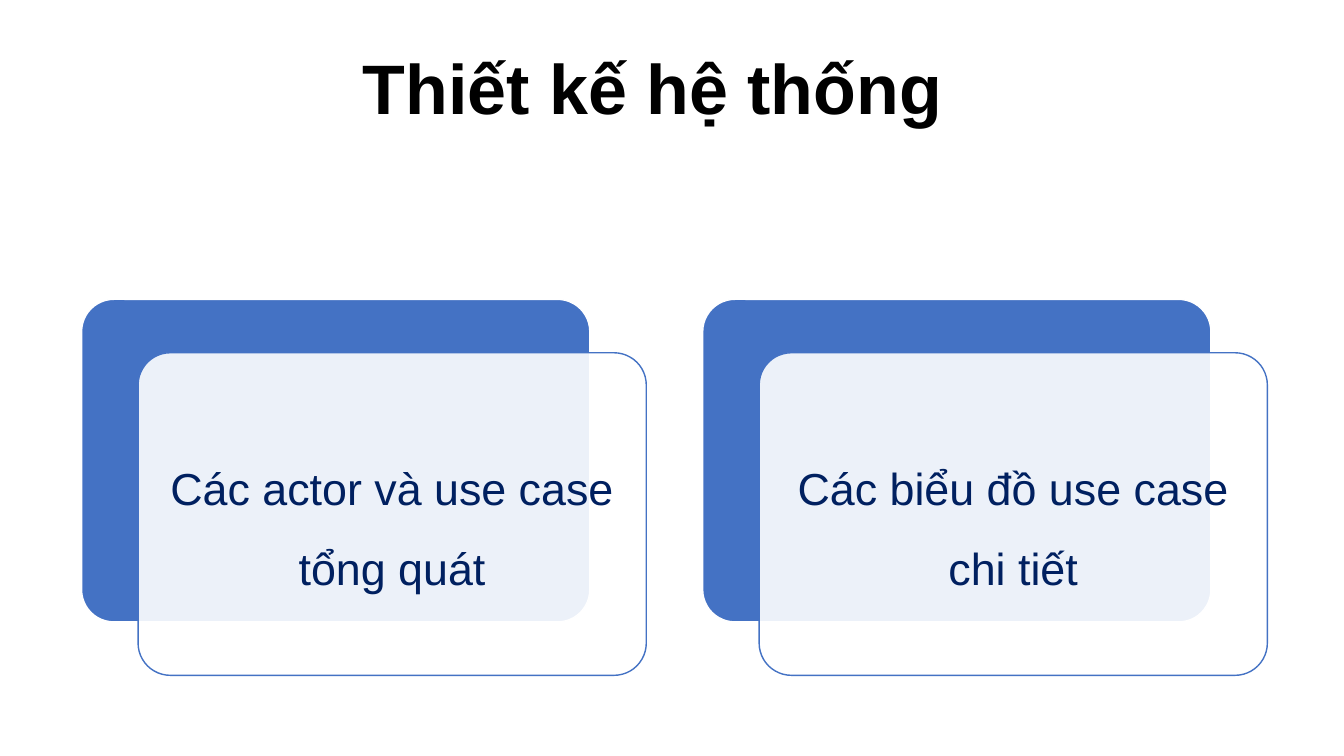
from lxml import etree
from pptx import Presentation
from pptx import util as u
from pptx.dml.color import RGBColor
from pptx.enum import shapes, text
from pptx.oxml import ns

BLACK = RGBColor(0x00, 0x00, 0x00)
WHITE = RGBColor(0xFF, 0xFF, 0xFF)
BLUE = RGBColor(0x44, 0x72, 0xC4)
NAVY = RGBColor(0x00, 0x20, 0x60)

EMU_PER_PX = 9144  # 100 px to the inch
TOPICS = ["Các actor và use case tổng quát", "Các biểu đồ use case chi tiết"]


def px(length):
    return u.Emu(length * EMU_PER_PX)


def set_all(target, values):
    for name, value in values.items():
        setattr(target, name, value)


class SlideBuilder:
    font_name = "Arial"
    card_size = (504, 320)

    def __init__(self, deck):
        self.page = deck.slides.add_slide(deck.slide_layouts[5])

    def caption(self, box, words, frame_format, paragraph_format, size, color, bold=False):
        frame = box.text_frame
        frame.text = words
        set_all(frame, {"word_wrap": True, "auto_size": text.MSO_AUTO_SIZE.NONE})
        set_all(frame, frame_format)
        para = frame.paragraphs[0]
        set_all(para, {"alignment": text.PP_ALIGN.CENTER, **paragraph_format})
        span = para.runs[0]
        set_all(span.font, {"name": self.font_name, "size": u.Pt(size), "bold": bold})
        span.font.color.rgb = color

    def title(self, words, left, top, width, height):
        box = self.page.shapes.title
        set_all(box, {"left": px(left), "top": px(top),
                      "width": px(width), "height": px(height)})
        self.caption(box, words,
                     {"vertical_anchor": text.MSO_ANCHOR.TOP, "margin_top": px(14)},
                     {"line_spacing": 0.9}, 50, BLACK, bold=True)

    def card(self, left, top, fill, line, opacity=100):
        box = self.page.shapes.add_shape(
            shapes.MSO_SHAPE.ROUNDED_RECTANGLE, px(left), px(top), *map(px, self.card_size))
        box.adjustments[0] = 0.1
        box.shadow.inherit = False
        box.fill.solid()
        box.fill.fore_color.rgb = fill
        box.line.color.rgb = line
        box.line.width = u.Pt(1)
        if opacity < 100:
            color = box.element.spPr.find(ns.qn("a:solidFill"))[0]
            etree.SubElement(color, ns.qn("a:alpha"), val=str(opacity * 1000))
        return box

    def topic(self, words, left, top):
        """Draw a solid card with a translucent, captioned card offset over it."""
        self.card(left, top, BLUE, WHITE)
        front = self.card(left + 56, top + 53, WHITE, BLUE, opacity=90)
        margins = {f"margin_{side}": px(13) for side in ("left", "top", "right", "bottom")}
        self.caption(front, words,
                     {"vertical_anchor": text.MSO_ANCHOR.MIDDLE, **margins},
                     {"line_spacing": 1.5}, 32, NAVY)


def main():
    deck = Presentation()
    set_all(deck, {"slide_width": px(1333), "slide_height": px(750)})
    slide = SlideBuilder(deck)
    slide.title("Thiết kế hệ thống", 53, 40, 1189, 172)
    for column, words in enumerate(TOPICS):
        slide.topic(words, 81 + column * 616, 297)
    deck.save("out.pptx")


if __name__ == "__main__":
    main()
